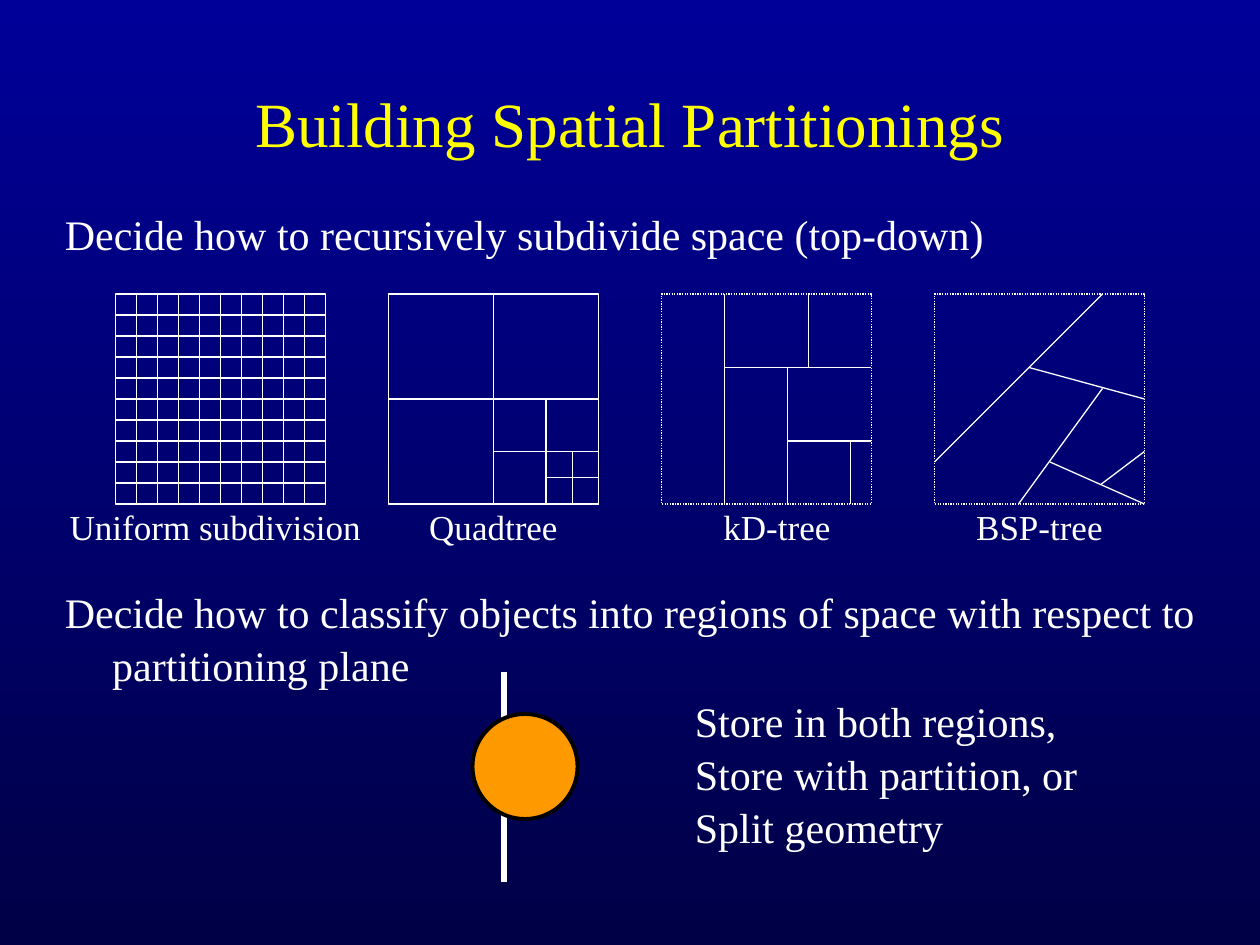
from dataclasses import dataclass

from lxml import etree
from pptx import Presentation
from pptx.dml.color import RGBColor
from pptx.enum import dml, shapes, text
from pptx.oxml import ns
from pptx.util import Pt

PX = 7620  # 120 px to the inch
FONT = "Times New Roman"
WHITE, YELLOW, ORANGE, BLACK = "FFFFFF", "FFFF00", "FF9900", "000000"
PANEL_LEFT, PANEL_TOP, PANEL_SIZE, PANEL_PITCH, CELL = 110, 280, 200, 260, 20


@dataclass
class Label:
    lines: list[str]
    x: int
    y: int
    w: int
    h: int
    size: int = 24
    color: str = WHITE
    centred: bool = False
    middle: bool = False
    hanging: int = 0
    before: float = 0


@dataclass
class Square:
    x: int
    y: int
    size: int
    dotted: bool = False


@dataclass
class Segment:
    x1: int
    y1: int
    x2: int
    y2: int


@dataclass
class Panel:
    """A partitioning; squares and segments are relative to its corner."""
    caption: str
    caption_x: int
    caption_w: int
    squares: list[Square]
    segments: list[Segment]


def rgb(color: str) -> RGBColor:
    return RGBColor.from_string(color)


def add_label(slide, label: Label) -> None:
    box = slide.shapes.add_textbox(*(v * PX for v in (label.x, label.y, label.w, label.h)))
    tf = box.text_frame
    tf.word_wrap = True
    tf.vertical_anchor = text.MSO_ANCHOR.MIDDLE if label.middle else text.MSO_ANCHOR.TOP
    p = tf.paragraphs[0]
    p.alignment = text.PP_ALIGN.CENTER if label.centred else text.PP_ALIGN.LEFT
    p.space_before = Pt(label.before)
    p.line_spacing = 1.05
    if label.hanging:
        pPr = p._p.get_or_add_pPr()
        pPr.set("marL", str(label.hanging * PX))
        pPr.set("indent", str(-label.hanging * PX))
    for i, line in enumerate(label.lines):
        if i:
            p.add_line_break()
        r = p.add_run()
        r.text = line
        r.font.name, r.font.size = FONT, Pt(label.size)
        r.font.color.rgb = rgb(label.color)


def add_square(slide, x: int, y: int, square: Square):
    sp = slide.shapes.add_shape(
        shapes.MSO_SHAPE.RECTANGLE, (x + square.x) * PX, (y + square.y) * PX,
        square.size * PX, square.size * PX)
    sp.shadow.inherit = False
    sp.fill.background()
    sp.line.color.rgb = rgb(WHITE)
    sp.line.width = Pt(0.75)
    if square.dotted:
        sp.line.dash_style = dml.MSO_LINE.ROUND_DOT
    return sp


def add_segment(slide, x: int, y: int, seg: Segment, width: float = 0.75):
    line = slide.shapes.add_connector(
        shapes.MSO_CONNECTOR.STRAIGHT, (x + seg.x1) * PX, (y + seg.y1) * PX,
        (x + seg.x2) * PX, (y + seg.y2) * PX)
    line.line.color.rgb = rgb(WHITE)
    line.line.width = Pt(width)
    etree.SubElement(line._element.spPr, ns.qn("a:effectLst"))
    return line


def join_ends(line, seg: Segment, square: Square, sp) -> None:
    """Join each end that lies at the middle of a side of the square."""
    half = square.size // 2
    cx, cy = square.x + half, square.y + half
    sides = [(cx, cy - half), (cx - half, cy), (cx, cy + half), (cx + half, cy)]
    if (seg.x1, seg.y1) in sides:
        line.begin_connect(sp, sides.index((seg.x1, seg.y1)))
    if (seg.x2, seg.y2) in sides:
        line.end_connect(sp, sides.index((seg.x2, seg.y2)))


def add_panel(slide, x: int, panel: Panel) -> None:
    drawn = [(sq, add_square(slide, x, PANEL_TOP, sq)) for sq in panel.squares]
    for seg in panel.segments:
        line = add_segment(slide, x, PANEL_TOP, seg)
        for square, sp in drawn:
            join_ends(line, seg, square, sp)
    add_label(slide, Label([panel.caption], panel.caption_x, 474, panel.caption_w, 53,
                           size=20, centred=True, before=12.5))


STEPS = range(CELL, PANEL_SIZE, CELL)
PANELS = [
    Panel("Uniform subdivision", 40, 330, [Square(0, 0, PANEL_SIZE)],
          [Segment(s, 0, s, PANEL_SIZE) for s in STEPS]
          + [Segment(0, s, PANEL_SIZE, s) for s in STEPS]),
    Panel("Quadtree", 350, 240,
          [Square(0, 0, PANEL_SIZE), Square(0, 0, 100), Square(100, 100, 100),
           Square(100, 100, 50), Square(150, 150, 50)],
          [Segment(175, 150, 175, 200), Segment(150, 175, 200, 175)]),
    Panel("kD-tree", 620, 240, [Square(0, 0, PANEL_SIZE, dotted=True)],
          [Segment(60, 0, 60, 200), Segment(60, 70, 200, 70),
           Segment(140, 70, 140, 0), Segment(120, 70, 120, 200),
           Segment(120, 140, 200, 140), Segment(180, 140, 180, 200)]),
    Panel("BSP-tree", 870, 240, [Square(0, 0, PANEL_SIZE, dotted=True)],
          [Segment(0, 160, 160, 0), Segment(90, 70, 200, 100),
           Segment(160, 90, 80, 200), Segment(200, 200, 110, 160),
           Segment(159, 181, 200, 150)]),
]
LABELS = [
    Label(["Building Spatial Partitionings"], 50, 40, 1100, 150,
          size=36, color=YELLOW, centred=True, middle=True),
    Label(["Decide how to recursively subdivide space (top-down)"],
          50, 190, 1100, 70, hanging=45, before=6),
    Label(["Decide how to classify objects into regions of space with respect to "
           "partitioning plane"], 50, 550, 1120, 110, hanging=45, before=6),
    Label(["Store in both regions,", "Store with partition, or", "Split geometry"],
          650, 654, 400, 156, before=15),
]


def main() -> None:
    prs = Presentation()
    prs.slide_width, prs.slide_height = 1200 * PX, 900 * PX
    slide = prs.slides.add_slide(prs.slide_layouts[6])

    # Background, dark towards the bottom
    fill = slide.background.fill
    fill.gradient()
    fill.gradient_angle = 270
    for stop, position, color in zip(fill.gradient_stops, (0, 1), ("000099", "000047")):
        stop.position = position
        stop.color.rgb = rgb(color)

    # Title and statements
    for label in LABELS:
        add_label(slide, label)

    # The four partitionings
    for i, panel in enumerate(PANELS):
        add_panel(slide, PANEL_LEFT + i * PANEL_PITCH, panel)

    # Object straddling the partitioning plane
    add_segment(slide, 480, 640, Segment(0, 0, 0, 200), width=3)
    ball = slide.shapes.add_shape(
        shapes.MSO_SHAPE.OVAL, 450 * PX, 680 * PX, 100 * PX, 100 * PX)
    ball.shadow.inherit = False
    ball.fill.solid()
    ball.fill.fore_color.rgb = rgb(ORANGE)
    ball.line.color.rgb = rgb(BLACK)
    ball.line.width = Pt(2.25)

    prs.save("out.pptx")


if __name__ == "__main__":
    main()
